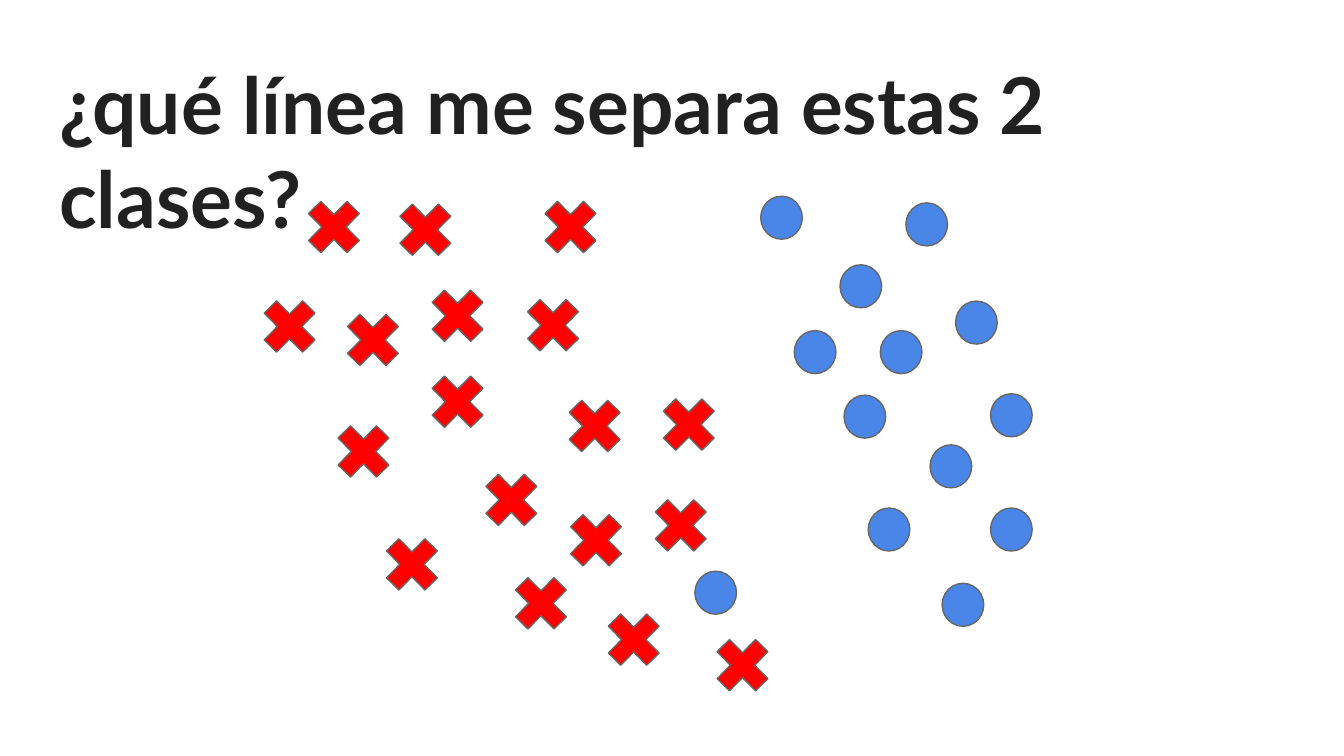
from typing import NamedTuple

from pptx import Presentation
from pptx.dml.color import RGBColor
from pptx.enum import shapes, text
from pptx.util import Emu, Inches, Pt

RED = RGBColor(0xFF, 0x00, 0x00)
BLUE = RGBColor(0x4A, 0x86, 0xE8)
GRAY = RGBColor(0x66, 0x66, 0x66)
INK = RGBColor(0x21, 0x21, 0x21)

# Square grid: 1000 columns by 562.5 rows fill the 16:9 slide
COLS = 1000
ROWS = COLS * 9 / 16


class Mark(NamedTuple):
    kind: shapes.MSO_SHAPE
    fill: RGBColor
    wide: int
    high: int
    adj: tuple[float, ...] = ()


CROSS = Mark(shapes.MSO_SHAPE.MATH_MULTIPLY, RED, 55, 56, (0.235,))
DOT = Mark(shapes.MSO_SHAPE.OVAL, BLUE, 31, 32)

# Column and row of each mark's top left corner
CROSSES = [
    (221, 141), (289, 143), (397, 141),
    (188, 215), (250, 225), (313, 207), (384, 214),
    (313, 271), (243, 308), (415, 289), (485, 288),
    (353, 344), (416, 374), (479, 363),
    (279, 392), (375, 421), (444, 448), (525, 467),
]
DOTS = [
    (566, 146), (674, 151), (625, 197), (711, 224),
    (591, 246), (655, 246), (628, 294), (737, 293),
    (692, 331), (646, 378), (737, 378), (701, 434), (517, 425),
]

deck = Presentation()
deck.slide_width = Inches(10)
deck.slide_height = Emu(deck.slide_width * 9 // 16)
slide = deck.slides.add_slide(deck.slide_layouts[5])


def col(n: float) -> Emu:
    return Emu(round(deck.slide_width * n / COLS))


def row(n: float) -> Emu:
    return Emu(round(deck.slide_height * n / ROWS))


def draw(mark: Mark, spots: list[tuple[int, int]]) -> None:
    for x, y in spots:
        shape = slide.shapes.add_shape(
            mark.kind, col(x), row(y), col(mark.wide), row(mark.high))
        for i, value in enumerate(mark.adj):
            shape.adjustments[i] = value
        shape.shadow.inherit = False
        shape.fill.solid()
        shape.fill.fore_color.rgb = mark.fill
        shape.line.color.rgb = GRAY
        shape.line.width = Pt(0.75)


# Title
title = slide.shapes.title
title.left, title.top = col(34), row(32)
title.width, title.height = col(932), row(88)
frame = title.text_frame
frame.text = "¿qué línea me separa estas 2 clases?"
frame.word_wrap = True
frame.auto_size = text.MSO_AUTO_SIZE.NONE
frame.vertical_anchor = text.MSO_ANCHOR.TOP
frame.margin_left = frame.margin_right = Inches(0.1)
frame.margin_top = frame.margin_bottom = Inches(0.1)
head = frame.paragraphs[0]
head.alignment = text.PP_ALIGN.LEFT
head.font.name = "Lato"
head.font.size = Pt(42)
head.font.bold = True
head.font.color.rgb = INK

# The two classes of points
draw(CROSS, CROSSES)
draw(DOT, DOTS)

deck.save("out.pptx")
